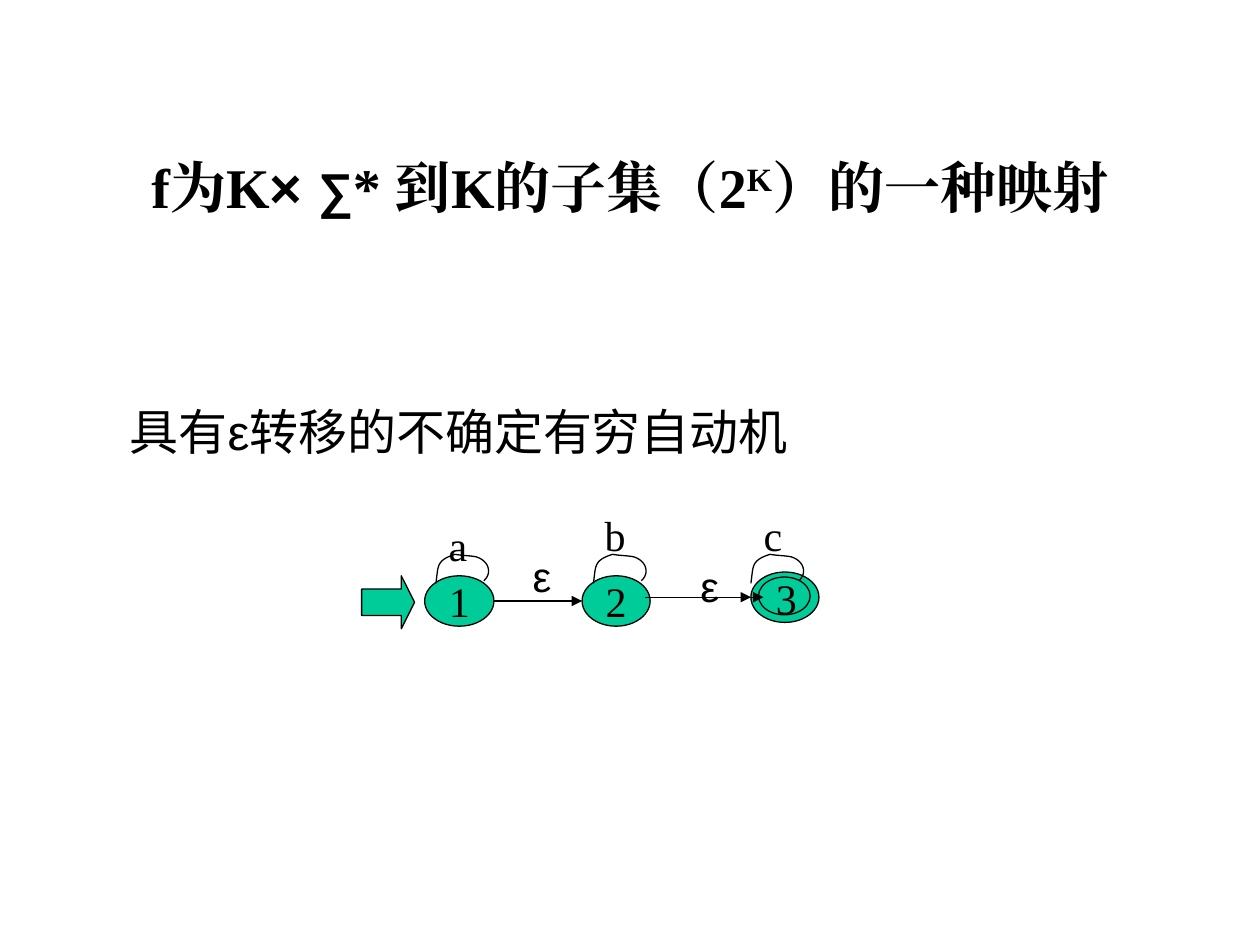
from typing import NamedTuple

from lxml.etree import SubElement
from pptx import Presentation
from pptx.dml.color import RGBColor
from pptx.enum.shapes import MSO_CONNECTOR as Link, MSO_SHAPE as Form
from pptx.enum.text import MSO_ANCHOR as Anchor, PP_ALIGN as Align
from pptx.oxml.ns import qn
from pptx.util import Inches, Pt

BLACK, GREEN = "000000", "00CC99"
TIMES, ARIAL, NOTO = "Times New Roman", "Arial", "Noto Sans CJK SC"


class Part(NamedTuple):
    text: str
    size: int
    font: str = TIMES
    bold: bool = False
    lift: int = 0


class Oval(NamedTuple):
    x: float
    y: float
    w: float
    h: float
    text: str = ""


class Label(NamedTuple):
    text: str
    x: float
    y: float
    w: float
    font: str = TIMES


class Arrow(NamedTuple):
    start: float
    end: float
    y: float


TITLE = [
    Part("f为K", 32, TIMES, True),
    Part("× ", 32, ARIAL, True),
    Part("∑", 28, ARIAL, True),
    Part("* 到K的子集（2", 32, TIMES, True),
    Part("K", 32, TIMES, True, 30000),
    Part("）的一种映射", 32, TIMES, True),
]
BODY = [Part("具有", 28, NOTO), Part("ε", 28, ARIAL),
        Part("转移的不确定有穷自动机", 28, NOTO)]
STATES = [Oval(3.37, 4.57, 0.55, 0.4, "1"), Oval(4.62, 4.57, 0.54, 0.4, "2")]
FINAL = [Oval(5.96, 4.54, 0.54, 0.4), Oval(6.02, 4.58, 0.41, 0.3)]
ARROWS = [Arrow(3.92, 4.62, 4.77), Arrow(5.21, 5.96, 4.74), Arrow(5.12, 6.06, 4.74)]
EDGES = [Label("ε", 4.13, 4.32, 0.34, ARIAL), Label("ε", 5.46, 4.4, 0.34, ARIAL)]
LETTERS = [Label("a", 3.46, 4.07, 0.35), Label("b", 4.7, 3.99, 0.36),
           Label("c", 5.96, 3.99, 0.35)]
# Loop outline: three cubic curves, relative to its lower left end
LOOP = [
    [(0, 0), (0.02, -0.14), (0, -0.18), (0.15, -0.23)],
    [(0.15, -0.23), (0.21, -0.22), (0.27, -0.22), (0.32, -0.21)],
    [(0.32, -0.21), (0.42, -0.18), (0.45, -0.08), (0.38, -0.02)],
]


def color(code: str) -> RGBColor:
    return RGBColor.from_string(code)


def write(shape, parts: list, align=Align.CENTER) -> None:
    para = shape.text_frame.paragraphs[0]
    para.alignment = align
    for part in parts:
        run = para.add_run()
        run.text = part.text
        font = run.font
        font.size, font.name, font.bold = Pt(part.size), part.font, part.bold
        font.color.rgb = color(BLACK)
        props = run._r.get_or_add_rPr()
        SubElement(props, qn("a:ea"), typeface=part.font)
        if part.lift:
            props.set("baseline", str(part.lift))


def add_box(shapes, x: float, y: float, w: float, h: float, wrap: bool):
    box = shapes.add_textbox(Inches(x), Inches(y), Inches(w), Inches(h))
    box.text_frame.word_wrap = wrap
    box.text_frame.vertical_anchor = Anchor.MIDDLE
    return box


def add_label(shapes, label: Label) -> None:
    box = add_box(shapes, label.x, label.y, label.w, 0.5, False)
    write(box, [Part(label.text, 24, label.font)])


def outline(shape) -> None:
    shape.shadow.inherit = False
    shape.line.color.rgb = color(BLACK)
    shape.line.width = Pt(0.75)


def add_form(shapes, form, x: float, y: float, w: float, h: float):
    shape = shapes.add_shape(form, Inches(x), Inches(y), Inches(w), Inches(h))
    shape.fill.solid()
    shape.fill.fore_color.rgb = color(GREEN)
    outline(shape)
    return shape


def add_oval(shapes, oval: Oval) -> None:
    shape = add_form(shapes, Form.OVAL, oval.x, oval.y, oval.w, oval.h)
    if oval.text:
        shape.text_frame.word_wrap = False
        shape.text_frame.vertical_anchor = Anchor.MIDDLE
        write(shape, [Part(oval.text, 24)])


def add_arrow(shapes, arrow: Arrow) -> None:
    y = Inches(arrow.y)
    link = shapes.add_connector(Link.STRAIGHT, Inches(arrow.start), y,
                                Inches(arrow.end), y)
    link.line.color.rgb = color(BLACK)
    link.line.width = Pt(0.75)
    SubElement(link.line._get_or_add_ln(), qn("a:tailEnd"), type="triangle")
    SubElement(link._element.spPr, qn("a:effectLst"))


def bezier(curve: list, t: float) -> tuple:
    s = 1 - t
    terms = (s ** 3, 3 * s * s * t, 3 * s * t * t, t ** 3)
    return tuple(sum(k * point[i] for k, point in zip(terms, curve)) for i in (0, 1))


def add_loop(shapes, x: float, y: float, steps: int = 12) -> None:
    dots = [bezier(curve, n / steps) for curve in LOOP for n in range(1, steps + 1)]
    pen = shapes.build_freeform(Inches(x), Inches(y))
    pen.add_line_segments([(Inches(x + dx), Inches(y + dy)) for dx, dy in dots],
                          close=False)
    shape = pen.convert_to_shape()
    shape.fill.background()
    outline(shape)


def main() -> None:
    deck = Presentation()
    deck.slide_width, deck.slide_height = Inches(10), Inches(7.5)
    shapes = deck.slides.add_slide(deck.slide_layouts[6]).shapes

    # Title and sentence
    write(add_box(shapes, 0.75, 0.85, 8.5, 1.25, True), TITLE)
    body = add_box(shapes, 0.67, 2.57, 8.58, 4.1, True)
    frame = body.text_frame
    frame.vertical_anchor = Anchor.TOP
    frame.margin_left, frame.margin_top = Inches(0.36), Inches(0.62)
    write(body, BODY, Align.LEFT)

    # States, the final one with a double ring
    for oval in STATES:
        add_oval(shapes, oval)
    for label in EDGES:
        add_label(shapes, label)
    group = shapes.add_group_shape().shapes
    for oval in FINAL:
        add_oval(group, oval)
    add_label(group, Label("3", 6.06, 4.49, 0.36))

    # Start arrow
    start = add_form(shapes, Form.RIGHT_ARROW, 2.87, 4.57, 0.42, 0.42)
    start.adjustments[1] = 0.25

    # Loops and moves
    for n in range(3):
        add_loop(shapes, 3.46 + 1.25 * n, 4.63)
    for arrow in ARROWS:
        add_arrow(shapes, arrow)
    for label in LETTERS:
        add_label(shapes, label)

    deck.save("out.pptx")


if __name__ == "__main__":
    main()
